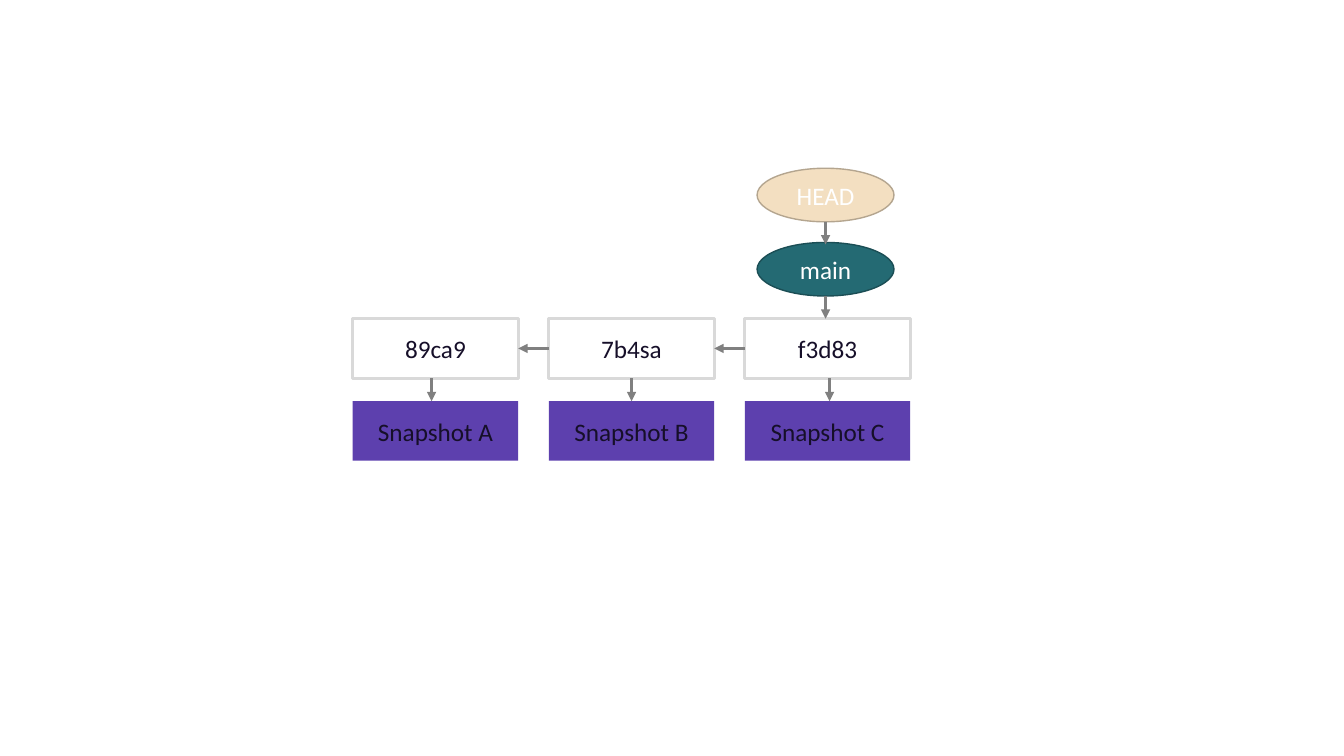
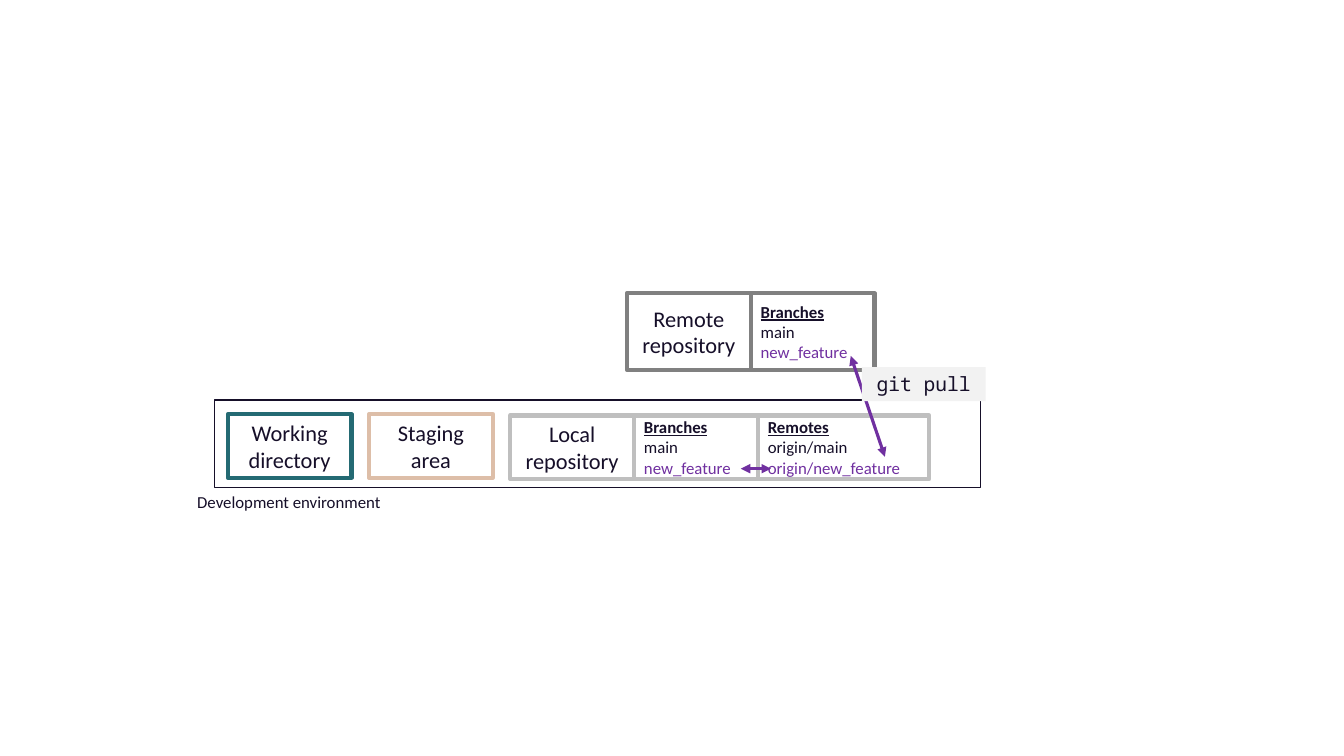
from dataclasses import dataclass

from pptx import Presentation
from pptx.dml.color import RGBColor
from pptx.enum.shapes import MSO_CONNECTOR as Connector, MSO_SHAPE as Preset
from pptx.enum.text import MSO_ANCHOR as Anchor, PP_ALIGN as Align
from pptx.oxml.ns import qn
from pptx.util import Cm, Pt
from lxml.etree import SubElement


@dataclass(frozen=True)
class Theme:
    # Colours
    ink: str = "160F29"
    white: str = "FFFFFF"
    teal: str = "246A73"
    teal_edge: str = "1B4E55"
    sand: str = "F3DFC1"
    sand_edge: str = "B4A58F"
    clay: str = "DDBEA8"
    snapshot: str = "5D40AE"
    feature: str = "7030A0"
    commit_edge: str = "D9D9D9"
    local_edge: str = "BFBFBF"
    remote_edge: str = "808080"
    arrow: str = "808080"
    code_fill: str = "F2F2F2"
    # Fonts, type sizes and line widths in points
    body: str = "Calibri"
    code: str = "Noto Sans Mono"
    node_size: int = 18
    area_size: int = 16
    command_size: int = 14
    small_size: int = 12
    thin: float = 1
    medium: float = 2.25
    thick: float = 3


THEME = Theme()


@dataclass(frozen=True)
class Box:
    """A region in centimetres."""
    x: float
    y: float
    w: float
    h: float

    def inner(self, dx, dy, w, h):
        return Box(self.x + dx, self.y + dy, w, h)

    def lengths(self):
        return [Cm(value) for value in (self.x, self.y, self.w, self.h)]


def rgb(code):
    return RGBColor.from_string(code)


def set_attributes(target, values):
    for name, value in values.items():
        setattr(target, name, value)


def write(frame, lines, size, color=THEME.ink, font=THEME.body, align=Align.CENTER):
    """Each line is a string or a (string, font format) pair."""
    set_attributes(frame, {"word_wrap": True, "vertical_anchor": Anchor.MIDDLE})
    for index, line in enumerate(lines):
        text, extra = (line, {}) if isinstance(line, str) else line
        paragraph = frame.add_paragraph() if index else frame.paragraphs[0]
        paragraph.alignment = align
        run = paragraph.add_run()
        run.text = text
        style = {"name": font, "size": Pt(size), **extra}
        run.font.color.rgb = rgb(style.pop("ink", color))
        set_attributes(run.font, style)


def add_node(slide, box, fill=None, edge=None, width=THEME.thick, preset=Preset.RECTANGLE):
    node = slide.shapes.add_shape(preset, *box.lengths())
    node.shadow.inherit = False
    if fill:
        node.fill.solid()
        node.fill.fore_color.rgb = rgb(fill)
    else:
        node.fill.background()
    if edge:
        node.line.color.rgb = rgb(edge)
        node.line.width = Pt(width)
    else:
        node.line.fill.background()
    return node


def add_arrow(slide, start, end, color=THEME.arrow, both=False):
    points = [Cm(value) for value in (*start, *end)]
    arrow = slide.shapes.add_connector(Connector.STRAIGHT, *points)
    arrow.line.color.rgb = rgb(color)
    arrow.line.width = Pt(THEME.medium)
    outline = arrow.line._get_or_add_ln()
    for tag in ("a:headEnd", "a:tailEnd") if both else ("a:tailEnd",):
        SubElement(outline, qn(tag)).set("type", "triangle")
    SubElement(arrow._element.spPr, qn("a:effectLst"))


# Slide 1: commits, their snapshots and the references

def add_history(slide, area):
    width, height, step, drop = 4.17, 1.5, 4.94, 2.08
    # Commit, snapshot, shift of the arrow from the column centre
    commits = [("89ca9", "Snapshot A", -0.1),
               ("7b4sa", "Snapshot B", 0),
               ("f3d83", "Snapshot C", 0.05)]
    for column, (commit, snapshot, shift) in enumerate(commits):
        top = area.inner(column * step, 0, width, height)
        bottom = top.inner(0, drop, width, height)
        commit_node = add_node(slide, top, edge=THEME.commit_edge, width=THEME.medium)
        write(commit_node.text_frame, [commit], THEME.node_size)
        snapshot_node = add_node(slide, bottom, fill=THEME.snapshot)
        write(snapshot_node.text_frame, [snapshot], THEME.node_size)
        center = top.x + width / 2 + shift
        add_arrow(slide, (center, top.y + height), (center, bottom.y))
        if column:  # each commit points to its parent
            middle = top.y + height / 2
            add_arrow(slide, (top.x, middle), (top.x - step + width, middle))


def add_references(slide, area):
    height, step = 1.35, 1.87
    references = [("HEAD", THEME.sand, THEME.sand_edge),
                  ("main", THEME.teal, THEME.teal_edge)]
    for row, (name, fill, edge) in enumerate(references):
        oval = area.inner(0, row * step, area.w, height)
        node = add_node(slide, oval, fill, edge, THEME.thin, Preset.OVAL)
        write(node.text_frame, [name], THEME.node_size, THEME.white)
    for row in range(len(references)):
        center = area.x + area.w / 2
        start = area.y + row * step + height
        add_arrow(slide, (center, start), (center, start + 0.57))


def build_history_slide(slide):
    add_history(slide, Box(8.89, 8.03, 14.05, 3.58))
    add_references(slide, Box(19.08, 4.24, 3.45, 3.22))


# Slide 2: local and remote repositories

CELL = 3.12


def add_area(slide, box, name, edge):
    node = add_node(slide, box, edge=edge)
    write(node.text_frame, [name], THEME.area_size)


def add_branches(slide, box, heading, prefix, edge):
    node = add_node(slide, box, edge=edge)
    lines = [(heading, {"bold": True, "underline": True}),
             prefix + "main",
             (prefix + "new_feature", {"ink": THEME.feature})]
    write(node.text_frame, lines, THEME.small_size, align=Align.LEFT)


def add_repository(slide, area, name, edge, lists):
    add_area(slide, area.inner(0, 0, CELL, area.h), name, edge)
    left = CELL
    for heading, prefix, width in lists:
        add_branches(slide, area.inner(left, 0, width, area.h), heading, prefix, edge)
        left += width


def add_environment(slide, area):
    add_node(slide, area, edge=THEME.ink, width=THEME.thin)
    caption = slide.shapes.add_textbox(*area.inner(-0.69, area.h - 0.02, 5.18, 0.76).lengths())
    write(caption.text_frame, ["Development environment"], THEME.small_size, align=Align.LEFT)
    caption.text_frame.word_wrap = False
    areas = [("Working directory", THEME.teal), ("Staging area", THEME.clay)]
    for column, (name, edge) in enumerate(areas):
        add_area(slide, area.inner(0.33 + column * 3.56, 0.36, CELL, 1.6), name, edge)
    add_repository(slide, area.inner(7.45, 0.39, 10.56, 1.6), "Local repository",
                   THEME.local_edge, [("Branches", "", CELL), ("Remotes", "origin/", 4.32)])


def add_pull(slide, area):
    # Tracking links, then the command above them
    links = [((0, 2.84), (0.76, 2.84)), ((2.77, 0), (3.63, 2.54))]
    for ends in links:
        start, end = [(area.x + dx, area.y + dy) for dx, dy in ends]
        add_arrow(slide, start, end, THEME.feature, both=True)
    command = add_node(slide, area.inner(3.05, 0.28, CELL, 0.86), fill=THEME.code_fill)
    write(command.text_frame, ["git pull"], THEME.command_size, font=THEME.code)


def build_pull_slide(slide):
    add_environment(slide, Box(5.41, 10.08, 19.3, 2.21))
    add_repository(slide, Box(15.8, 7.39, 6.24, 1.93), "Remote repository",
                   THEME.remote_edge, [("Branches", "", CELL)])
    add_pull(slide, Box(18.67, 8.97, 6.17, 2.84))


def main():
    deck = Presentation()
    set_attributes(deck, {"slide_width": Cm(33.87), "slide_height": Cm(19.05)})
    blank = deck.slide_layouts[6]
    for build in (build_history_slide, build_pull_slide):
        build(deck.slides.add_slide(blank))
    deck.save("out.pptx")


if __name__ == "__main__":
    main()
